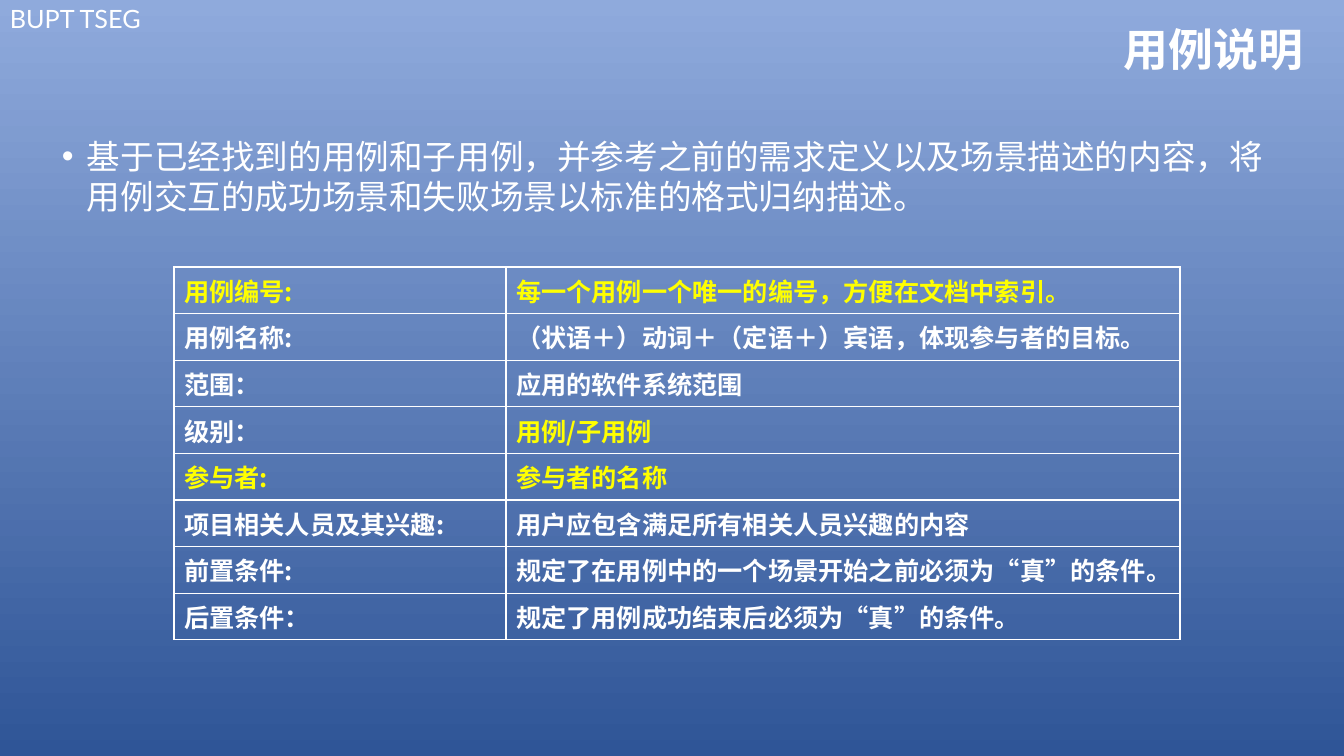
from pptx import Presentation
from pptx import util as u
from pptx.dml.color import RGBColor
from pptx.enum import text
from pptx.oxml import parse_xml
from pptx.oxml.ns import nsdecls, qn
from lxml import etree

LABEL = "BUPT TSEG"
TITLE = "用例说明"
INTRO = ("基于已经找到的用例和子用例，并参考之前的需求定义以及场景描述的内容，"
         "将用例交互的成功场景和失败场景以标准的格式归纳描述。")
# Each cell: text, colour name in THEME
ROWS = [
    (("用例编号:", "accent"), ("每一个用例一个唯一的编号，方便在文档中索引。", "accent")),
    (("用例名称:", "ink"), ("（状语＋）动词＋（定语＋）宾语，体现参与者的目标。", "ink")),
    (("范围：", "ink"), ("应用的软件系统范围", "ink")),
    (("级别：", "ink"), ("用例/子用例", "accent")),
    (("参与者:", "accent"), ("参与者的名称", "accent")),
    (("项目相关人员及其兴趣:", "ink"), ("用户应包含满足所有相关人员兴趣的内容", "ink")),
    (("前置条件:", "ink"), ("规定了在用例中的一个场景开始之前必须为“真”的条件。", "ink")),
    (("后置条件：", "ink"), ("规定了用例成功结束后必须为“真”的条件。", "ink")),
]
THEME = {
    "ink": "FFFFFF", "accent": "FFFF00", "top": "8FAADC", "bottom": "2F5597",
    "latin": "Lato", "cjk": "Noto Sans CJK SC",
    "title": 32, "body": 24, "small": 18,
}
SLIDE = (1344, 756)
LABEL_BOX = (0, 5, 153, 57)
TITLE_BOX = (174, 16, 1139, 71)
INTRO_BOX = (52, 131, 1230, 110)
TABLE_AT = (174, 267)
TABLE_HEIGHT = 373
COLUMNS = (332, 674)
BULLET_INDENT = 25
CELL_INDENT = 49


def px(n):
    return u.Emu(round(n * 914400 / 100.8))


def add_run(p, words, size, colour="ink", font="cjk", bold=False):
    r = p.add_run()
    r.text = words
    r.font.size = u.Pt(THEME[size])
    r.font.bold = bold
    r.font.color.rgb = RGBColor.from_string(THEME[colour])
    r.font.name = THEME[font]
    etree.SubElement(r.font._element, qn("a:ea")).set("typeface", THEME[font])


def hang(p, indent):
    pPr = p._p.get_or_add_pPr()
    pPr.set("marL", str(px(indent)))
    pPr.set("indent", str(-px(indent)))
    return pPr


def add_box(s, box, line_spacing, anchor=text.MSO_ANCHOR.TOP):
    """Add a wrapping text box and return its first paragraph."""
    tf = s.shapes.add_textbox(*map(px, box)).text_frame
    tf.word_wrap = True
    tf.vertical_anchor = anchor
    p = tf.paragraphs[0]
    p.line_spacing = line_spacing
    return p


def style_cell(cell):
    """Give the cell four thin lines and no fill."""
    tcPr = cell._tc.get_or_add_tcPr()
    for side in ("lnL", "lnR", "lnT", "lnB"):
        tcPr.append(parse_xml(
            f'<a:{side} {nsdecls("a")} w="{u.Pt(1)}"><a:solidFill>'
            f'<a:srgbClr val="{THEME["ink"]}"/></a:solidFill></a:{side}>'))
    cell.fill.background()


def add_background(s):
    fill = s.background.fill
    fill.gradient()
    fill.gradient_angle = 270
    for stop, colour, position in zip(fill.gradient_stops, ("top", "bottom"), (0, 1)):
        stop.color.rgb = RGBColor.from_string(THEME[colour])
        stop.position = position


def add_case_table(s):
    frame = s.shapes.add_table(len(ROWS), len(COLUMNS), *map(px, TABLE_AT),
                               px(sum(COLUMNS)), px(TABLE_HEIGHT))
    table = frame.table
    table.first_row = table.horz_banding = False
    for column, width in zip(table.columns, COLUMNS):
        column.width = px(width)
    for row, cells in zip(table.rows, ROWS):
        row.height = px(TABLE_HEIGHT / len(ROWS))
        for cell, (words, colour) in zip(row.cells, cells):
            style_cell(cell)
            p = cell.text_frame.paragraphs[0]
            hang(p, CELL_INDENT)
            add_run(p, words, "small", colour, bold=True)


def main():
    prs = Presentation()
    prs.slide_width, prs.slide_height = map(px, SLIDE)
    s = prs.slides.add_slide(prs.slide_layouts[6])
    add_background(s)

    add_run(add_box(s, LABEL_BOX, 0.75), LABEL, "small", font="latin")

    p = add_box(s, TITLE_BOX, 0.9, text.MSO_ANCHOR.MIDDLE)
    p.alignment = text.PP_ALIGN.RIGHT
    add_run(p, TITLE, "title", bold=True)

    p = add_box(s, INTRO_BOX, 1.0)
    pPr = hang(p, BULLET_INDENT)
    etree.SubElement(pPr, qn("a:buFont")).set("typeface", "Arial")
    etree.SubElement(pPr, qn("a:buChar")).set("char", "•")
    add_run(p, INTRO, "body")

    add_case_table(s)
    prs.save("out.pptx")


if __name__ == "__main__":
    main()
